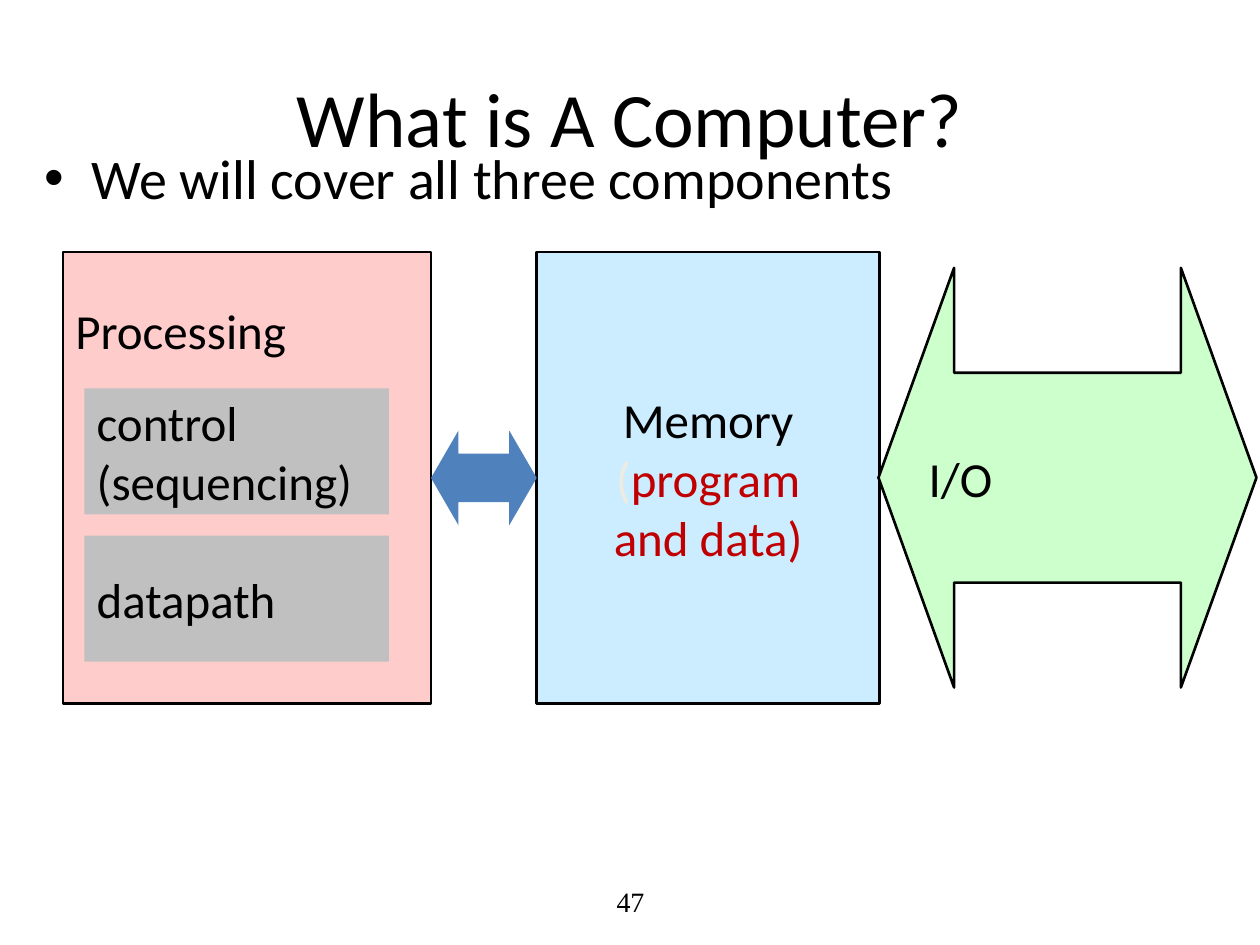
from lxml import etree
from pptx import Presentation
from pptx.dml.color import RGBColor
from pptx.enum.shapes import MSO_SHAPE
from pptx.enum.text import MSO_ANCHOR, PP_ALIGN
from pptx.oxml.ns import qn
from pptx.util import Cm, Pt

RECT, ARROW = MSO_SHAPE.RECTANGLE, MSO_SHAPE.LEFT_RIGHT_ARROW
TOP, MIDDLE = MSO_ANCHOR.TOP, MSO_ANCHOR.MIDDLE
LEFT, CENTER = PP_ALIGN.LEFT, PP_ALIGN.CENTER
BLACK, RED, CREAM, GRAY = "000000", "C00000", "EEECE1", "C0C0C0"


def color(code):
    return RGBColor.from_string(code)


def bullet(par, indent):
    props = par._p.get_or_add_pPr()
    props.set("marL", str(indent))
    props.set("indent", str(-indent))
    etree.SubElement(props, qn("a:buFont")).set("typeface", "Arial")
    etree.SubElement(props, qn("a:buChar")).set("char", "•")


def write(shape, lines, size=28, align=LEFT, anchor=MIDDLE, face="Calibri",
          indent=None):
    """Each line is a list of (text, color) runs."""
    frame = shape.text_frame
    frame.word_wrap = True
    frame.vertical_anchor = anchor
    for i, runs in enumerate(lines):
        par = frame.add_paragraph() if i else frame.paragraphs[0]
        par.alignment = align
        if indent:
            bullet(par, indent)
        par.font.size, par.font.name = Pt(size), face
        for words, code in runs:
            run = par.add_run()
            run.text = words
            run.font.color.rgb = color(code)


def plain(*lines):
    return [[(line, BLACK)] for line in lines]


def label(slide, box, words, **style):
    shape = slide.shapes.add_textbox(*map(Cm, box))
    write(shape, plain(words), **style)


def block(slide, kind, box, fill, edge=True, adjust=()):
    shape = slide.shapes.add_shape(kind, *map(Cm, box))
    shape.shadow.inherit = False
    shape.fill.solid()
    shape.fill.fore_color.rgb = color(fill)
    if edge:
        shape.line.color.rgb = color(BLACK)
        shape.line.width = Pt(1.5)
    else:
        shape.line.fill.background()
    for i, value in enumerate(adjust):
        shape.adjustments[i] = value
    return shape


def main():
    deck = Presentation()
    deck.slide_width, deck.slide_height = Cm(25.4), Cm(19.05)
    slide = deck.slides.add_slide(deck.slide_layouts[6])

    # Title, bullet and page number
    label(slide, (1.27, 0.76, 22.86, 3.18), "What is A Computer?",
          size=44, align=CENTER)
    label(slide, (0.64, 2.77, 23.93, 14.43),
          "We will cover all three components",
          size=32, anchor=TOP, indent=Cm(0.95))
    label(slide, (8.69, 17.65, 8.04, 1.02), "47",
          size=16, align=CENTER, face="Times New Roman")

    # Memory
    memory = block(slide, RECT, (10.82, 5.08, 6.91, 9.1), "CCECFF")
    write(memory, [[("Memory", BLACK)],
                   [("(", CREAM), ("program", RED)],
                   [("and data)", RED)]], align=CENTER)

    # Input and output
    ports = block(slide, ARROW, (17.71, 5.4, 7.62, 8.46), "CCFFCC",
                  adjust=(0.5, 0.2))
    write(ports, plain("I/O"))

    # Processing and its two parts
    unit = block(slide, RECT, (1.27, 5.08, 7.42, 9.1), "FFCCCC")
    write(unit, plain("Processing"), anchor=TOP)
    unit.text_frame.margin_top = Cm(0.98)
    parts = [("control", "(sequencing)"), ("datapath",)]
    for i, lines in enumerate(parts):
        part = block(slide, RECT, (1.7, 7.83 + 2.97 * i, 6.14, 2.54),
                     GRAY, edge=False)
        write(part, plain(*lines))

    # Link between processing and memory
    block(slide, ARROW, (8.69, 8.68, 2.13, 1.91), "4F81BD", edge=False,
          adjust=(0.51, 0.29))

    deck.save("out.pptx")


if __name__ == "__main__":
    main()
